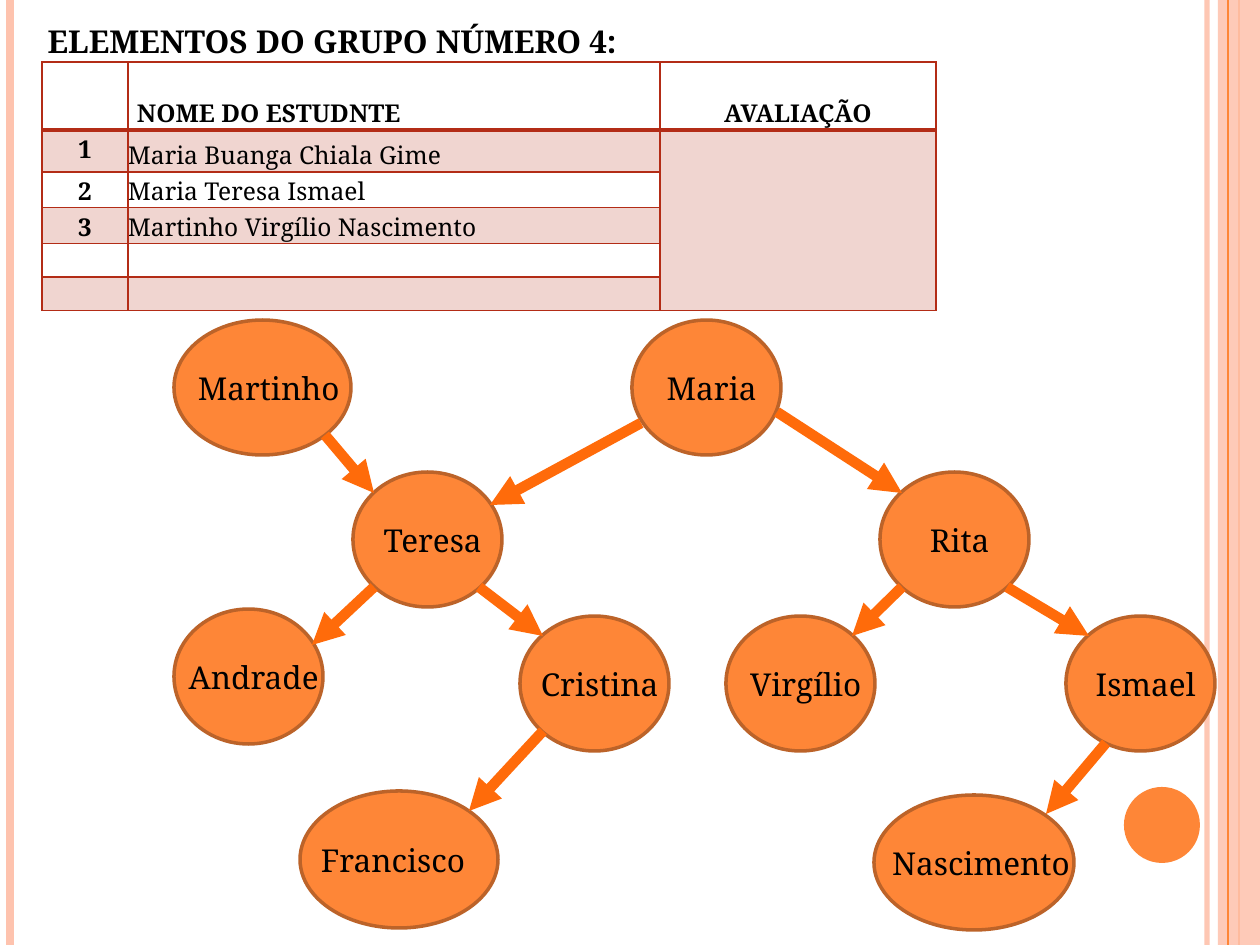
import dataclasses
import typing

import lxml.etree
import pptx
import pptx.dml.color
import pptx.enum.shapes
import pptx.enum.text
import pptx.oxml.ns
import pptx.util

EMU_PER_PX = 914400 / 126
FONT = "Noto Serif"
COLORS = {
    "text": "000000",
    "orange": "FE8637",
    "outline": "BC6329",
    "arrow": "FF6B0A",
    "stripe": "FEC3AE",
    "border": "B32C16",
    "band": "F0D5D0",
}
ALIGN = pptx.enum.text.PP_ALIGN
ANCHOR = pptx.enum.text.MSO_ANCHOR
SHAPE = pptx.enum.shapes.MSO_SHAPE


@dataclasses.dataclass(frozen=True)
class Stripe:
    x: int
    color: str
    width: float
    opacity: int = 100


@dataclasses.dataclass(frozen=True)
class Person:
    name: str
    x: int
    y: int
    w: int = 149
    h: int = 135
    label_shift: int = 0


@dataclasses.dataclass(frozen=True)
class Arrow:
    x1: int
    y1: int
    x2: int
    y2: int


STRIPES = [
    Stripe(1207, "stripe", 3, 93),
    Stripe(10, "stripe", 4.5),
    Stripe(1239, "orange", 1.5),
]
FRONT_STRIPE = Stripe(1228, "orange", 0.75)
PEOPLE = [
    Person("Martinho", 174, 320, w=177),
    Person("Maria", 632, 320),
    Person("Teresa", 353, 472),
    Person("Rita", 880, 472),
    Person("Andrade", 174, 609),
    Person("Cristina", 520, 616),
    Person("Virgílio", 726, 616),
    Person("Ismael", 1066, 616),
    Person("Francisco", 300, 791, w=198, h=137, label_shift=-13),
    Person("Nascimento", 874, 795, w=200),
]
ARROWS = [
    Arrow(325, 435, 374, 493),
    Arrow(641, 423, 490, 505),
    Arrow(777, 412, 902, 493),
    Arrow(374, 587, 312, 645),
    Arrow(479, 587, 543, 636),
    Arrow(902, 587, 852, 636),
    Arrow(1007, 587, 1089, 636),
    Arrow(543, 731, 469, 811),
    Arrow(1106, 743, 1046, 814),
]
COLUMNS = [86, 532, 276]
ROWS = [68, 42, 33, 33, 33, 33]
HEADERS = ["", "NOME DO ESTUDNTE", "AVALIAÇÃO"]
STUDENTS = ["Maria Buanga Chiala Gime", "Maria Teresa Ismael", "Martinho Virgílio Nascimento"]


def px(n: float) -> pptx.util.Emu:
    return pptx.util.Emu(round(n * EMU_PER_PX))


def rgb(name: str) -> pptx.dml.color.RGBColor:
    return pptx.dml.color.RGBColor.from_string(COLORS[name])


def apply(target: typing.Any, values: dict) -> None:
    for key, value in values.items():
        setattr(target, key, value)


def add_child(parent: typing.Any, tag: str, **attrs: str) -> typing.Any:
    return lxml.etree.SubElement(parent, pptx.oxml.ns.qn(tag), attrs)


def set_opacity(sp: typing.Any, percent: int) -> None:
    for clr in sp._element.spPr.iter(pptx.oxml.ns.qn("a:srgbClr")):
        add_child(clr, "a:alpha", val=str(percent * 1000))


def write(p: typing.Any, text: str, size: int, bold: bool = False, **para: typing.Any) -> None:
    apply(p, para)
    font = {"size": pptx.util.Pt(size), "bold": bold, "name": FONT}
    apply(p.font, font)
    if text:
        r = p.add_run()
        r.text = text
        apply(r.font, font)
        r.font.color.rgb = rgb("text")


def add_line(slide: typing.Any, a: Arrow, color: str, width: float) -> typing.Any:
    kind = pptx.enum.shapes.MSO_CONNECTOR.STRAIGHT
    cxn = slide.shapes.add_connector(kind, px(a.x1), px(a.y1), px(a.x2), px(a.y2))
    cxn.line.color.rgb = rgb(color)
    cxn.line.width = pptx.util.Pt(width)
    add_child(cxn._element.spPr, "a:effectLst")
    return cxn


def add_stripe(slide: typing.Any, s: Stripe) -> None:
    cxn = add_line(slide, Arrow(s.x, 0, s.x, 945), s.color, s.width)
    if s.opacity < 100:
        set_opacity(cxn, s.opacity)


def add_arrow(slide: typing.Any, a: Arrow) -> None:
    cxn = add_line(slide, a, "arrow", 6)
    add_child(cxn.line._get_or_add_ln(), "a:tailEnd", type="triangle")


def add_filled(shapes: typing.Any, kind: typing.Any, box: tuple, fill: str, line: str = "") -> typing.Any:
    sp = shapes.add_shape(kind, *map(px, box))
    sp.shadow.inherit = False
    sp.fill.solid()
    sp.fill.fore_color.rgb = rgb(fill)
    if line:
        sp.line.color.rgb = rgb(line)
        sp.line.width = pptx.util.Pt(2)
    else:
        sp.line.fill.background()
    return sp


def add_person(slide: typing.Any, n: Person) -> None:
    group = slide.shapes.add_group_shape()
    add_filled(group.shapes, SHAPE.OVAL, (n.x, n.y, n.w, n.h), "orange", "outline")
    label = (n.x + n.label_shift, n.y + (n.h - 50) / 2, n.w * 1.07, 50)
    tf = group.shapes.add_textbox(*map(px, label)).text_frame
    tf.word_wrap = True
    write(tf.paragraphs[0], n.name, 18, alignment=ALIGN.CENTER)


def set_borders(cell: typing.Any, header: bool) -> None:
    pr = cell._tc.get_or_add_tcPr()
    for i, side in enumerate(("a:lnL", "a:lnR", "a:lnT", "a:lnB")):
        width = 2 if header and side == "a:lnB" else 1
        ln = lxml.etree.Element(pptx.oxml.ns.qn(side), w=str(pptx.util.Pt(width)))
        add_child(add_child(ln, "a:solidFill"), "a:srgbClr", val=COLORS["border"])
        pr.insert(i, ln)


def add_students(slide: typing.Any) -> None:
    box = (42, 62, sum(COLUMNS), sum(ROWS))
    table = slide.shapes.add_table(len(ROWS), len(COLUMNS), *map(px, box)).table
    apply(table, {"first_row": False, "horz_banding": False})
    for col, width in zip(table.columns, COLUMNS):
        col.width = px(width)
    for row, height in zip(table.rows, ROWS):
        row.height = px(height)
    numbered = [[str(i), name, ""] for i, name in enumerate(STUDENTS, 1)]
    texts = [HEADERS] + numbered + [[""] * 3] * 2
    for i, row in enumerate(texts):
        for j, text in enumerate(row):
            cell = table.cell(i, j)
            is_name = i > 0 and j == 1
            side = 0 if is_name else px(9)
            apply(cell, {
                "margin_left": side, "margin_right": side, "margin_top": 0, "margin_bottom": 0,
                "vertical_anchor": ANCHOR.BOTTOM if i == 0 or is_name else ANCHOR.TOP,
            })
            if i % 2:
                cell.fill.solid()
                cell.fill.fore_color.rgb = rgb("band")
            else:
                cell.fill.background()
            set_borders(cell, i == 0)
            write(cell.text_frame.paragraphs[0], text, 14, not is_name,
                  alignment=ALIGN.LEFT if j == 1 else ALIGN.CENTER,
                  line_spacing=1.0 if is_name or not text else 1.07)
    table.cell(1, 2).merge(table.cell(len(ROWS) - 1, 2))


prs = pptx.Presentation()
apply(prs, {"slide_width": px(1260), "slide_height": px(945)})
slide = prs.slides.add_slide(prs.slide_layouts[5])

for stripe in STRIPES:
    add_stripe(slide, stripe)
set_opacity(add_filled(slide.shapes, SHAPE.RECTANGLE, (1218, 0, 42, 945), "stripe"), 87)
add_stripe(slide, FRONT_STRIPE)
add_filled(slide.shapes, SHAPE.OVAL, (1124, 787, 76, 76), "orange")

title = slide.shapes.title
apply(title, {"left": px(35), "top": px(16), "width": px(1032), "height": px(50)})
tf = title.text_frame
apply(tf, {"word_wrap": True, "vertical_anchor": ANCHOR.TOP})
write(tf.paragraphs[0], "ELEMENTOS DO GRUPO NÚMERO 4:", 18, True, alignment=ALIGN.JUSTIFY)

add_students(slide)
for person in PEOPLE:
    add_person(slide, person)
for arrow in ARROWS:
    add_arrow(slide, arrow)

prs.save("out.pptx")
